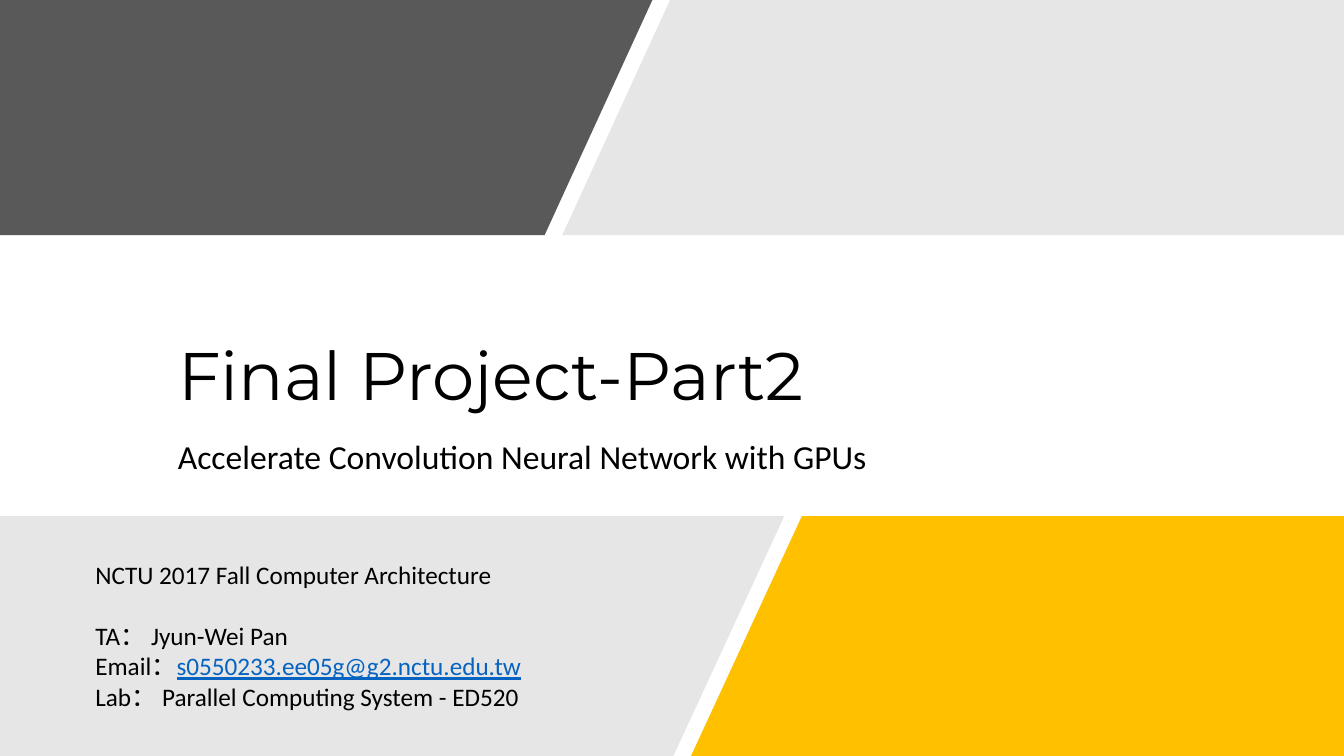
from pptx import Presentation
from pptx import util as u
from pptx.dml.color import RGBColor
from pptx.enum import text

DARK_GRAY = RGBColor(0x59, 0x59, 0x59)
LIGHT_GRAY = RGBColor(0xE7, 0xE6, 0xE6)
GOLD = RGBColor(0xFF, 0xC0, 0x00)
BLACK = RGBColor(0, 0, 0)
LINK_BLUE = RGBColor(0x05, 0x63, 0xC1)

SLIDE_WIDTH, SLIDE_HEIGHT = 960, 540
STRIPE_WIDTH = 12.6


def place(shape, box):
    shape.left, shape.top, shape.width, shape.height = map(u.Pt, box)


def style(paragraph, font_name, size):
    paragraph.alignment = text.PP_ALIGN.LEFT
    paragraph.font.name = font_name
    paragraph.font.size = u.Pt(size)
    paragraph.font.color.rgb = BLACK


def add_panel(slide, corners, color):
    points = [(u.Pt(x), u.Pt(y)) for x, y in corners]
    builder = slide.shapes.build_freeform(*points[0])
    builder.add_line_segments(points[1:], close=True)
    shape = builder.convert_to_shape()
    shape.shadow.inherit = False
    shape.fill.solid()
    shape.fill.fore_color.rgb = color
    shape.line.fill.background()


def add_band(slide, box, cut_top, cut_bottom, left_color, right_color):
    left, top, width, height = box
    right, bottom = left + width, top + height
    upper, lower = left + cut_top, left + cut_bottom
    add_panel(slide, [(left, top), (upper, top), (lower, bottom), (left, bottom)], left_color)
    add_panel(slide, [(upper + STRIPE_WIDTH, top), (right, top),
                      (right, bottom), (lower + STRIPE_WIDTH, bottom)], right_color)


def add_text_box(slide, box):
    shape = slide.shapes.add_textbox(*map(u.Pt, box))
    shape.text_frame.word_wrap = True
    return shape.text_frame


def add_heading(slide, box):
    left, top, width, height = box
    title_height = 123
    title = slide.shapes.title
    place(title, (left, top, width, title_height))
    frame = title.text_frame
    frame.text = "Final Project-Part2"
    frame.auto_size = text.MSO_AUTO_SIZE.NONE
    frame.vertical_anchor = text.MSO_ANCHOR.BOTTOM
    style(frame.paragraphs[0], "Montserrat", 48)
    frame.paragraphs[0].line_spacing = 0.9

    subtitle_top = 134
    subtitle = add_text_box(slide, (left, top + subtitle_top, width, height - subtitle_top))
    subtitle.text = "Accelerate Convolution Neural Network with GPUs"
    paragraph = subtitle.paragraphs[0]
    style(paragraph, "Calibri", 24)
    paragraph.line_spacing = 0.9
    paragraph.space_before = u.Pt(10)


def add_contact(slide, box):
    frame = add_text_box(slide, box)
    frame.text = "\n".join([
        "NCTU 2017 Fall Computer Architecture",
        "TA： Jyun-Wei Pan",
        "Email：",
        "Lab： Parallel Computing System - ED520",
    ])
    for paragraph in frame.paragraphs:
        style(paragraph, "Calibri", 18)
    course, assistant, email, lab = frame.paragraphs
    assistant.space_before = u.Pt(22)
    address = email.add_run()
    address.text = "s0550233.ee05g@g2.nctu.edu.tw"
    address.font.color.rgb = LINK_BLUE
    address.font.underline = True


def build_title_slide(presentation):
    slide = presentation.slides.add_slide(presentation.slide_layouts.get_by_name("Title Only"))
    add_band(slide, (0, 0, SLIDE_WIDTH, 168), 466, 389, DARK_GRAY, LIGHT_GRAY)
    add_band(slide, (0, 368.6, SLIDE_WIDTH, 171.4), 560.2, 481, LIGHT_GRAY, GOLD)
    add_heading(slide, (120, 177, 720, 179))
    add_contact(slide, (61, 396, 397, 117))


presentation = Presentation()
presentation.slide_width = u.Pt(SLIDE_WIDTH)
presentation.slide_height = u.Pt(SLIDE_HEIGHT)
build_title_slide(presentation)
presentation.save("out.pptx")
